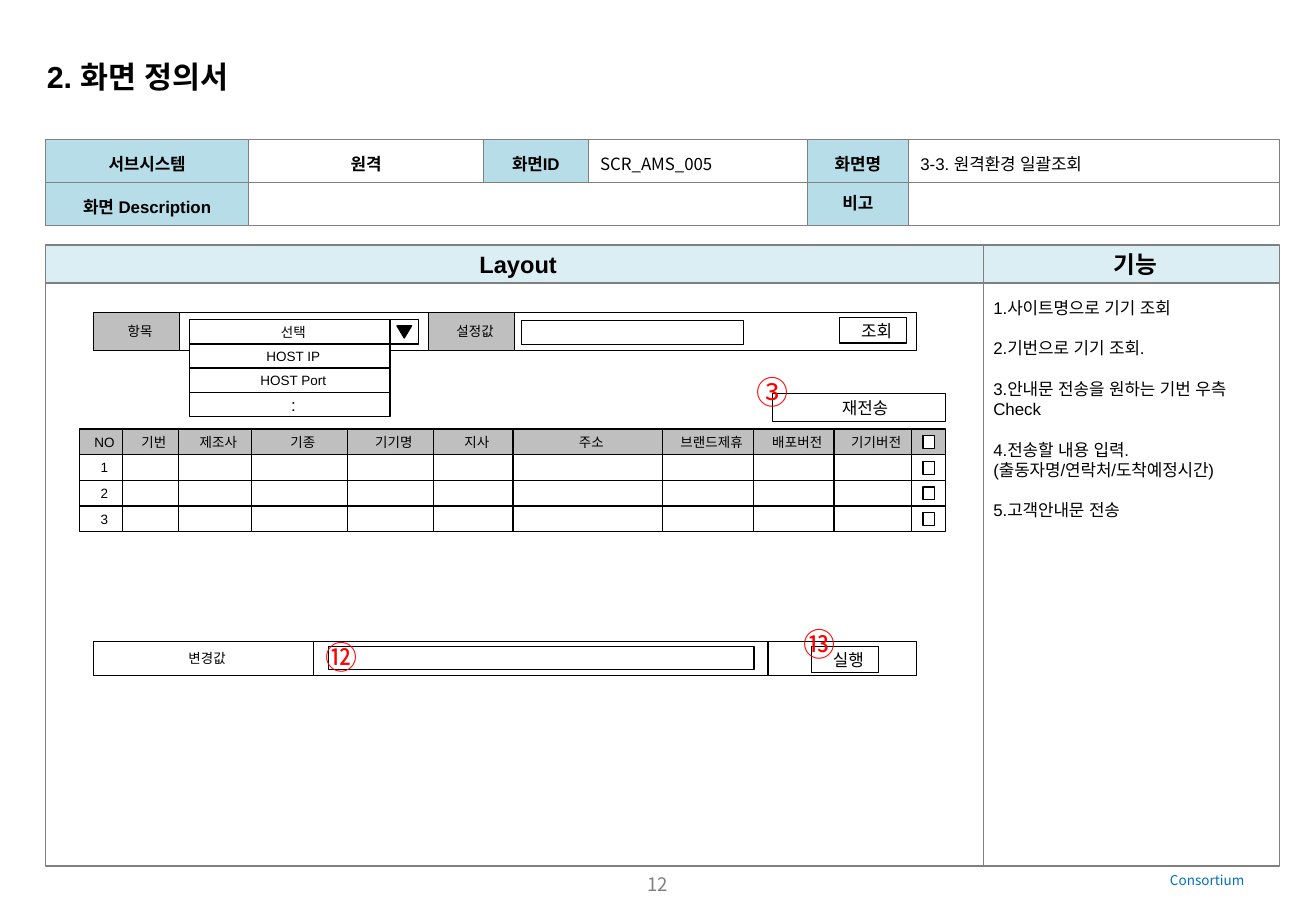
import pptx
import pptx.dml.color
import pptx.enum.shapes
import pptx.enum.text
import pptx.oxml
import pptx.oxml.ns
import pptx.util

RGBColor = pptx.dml.color.RGBColor
BLACK = RGBColor(0x00, 0x00, 0x00)
WHITE = RGBColor(0xFF, 0xFF, 0xFF)
GREY = RGBColor(0x80, 0x80, 0x80)
SILVER = RGBColor(0xBF, 0xBF, 0xBF)
RED = RGBColor(0xFF, 0x00, 0x00)
BLUE = RGBColor(0x00, 0x70, 0xC0)
SKY = RGBColor(0xB7, 0xDE, 0xE8)
PALE = RGBColor(0xDB, 0xEE, 0xF4)
LATIN, KOREAN = "Arial", "Noto Sans CJK KR"
ALIGN = pptx.enum.text.PP_ALIGN
ANCHOR = pptx.enum.text.MSO_ANCHOR
SHAPE = pptx.enum.shapes.MSO_SHAPE

GRID = pptx.util.Inches(0.01)
SLIDE_COLUMNS, SLIDE_ROWS = 1083, 750

INFO_COLUMNS = [167, 193.5, 86, 180.5, 83, 305.5]
INFO_ROWS = [
    ["서브시스템", "원격", "화면ID", "SCR_AMS_005", "화면명", "3-3. 원격환경 일괄조회"],
    ["화면 Description", "", "", "", "비고", ""],
]
PANELS = [("Layout", 37.5, 772), ("기능", 809.5, 243.5)]
PANEL_TOP, PANEL_HEAD, PANEL_BODY = 201.7, 31.3, 480
FUNCTIONS = [
    "1.사이트명으로 기기 조회",
    "2.기번으로 기기 조회.",
    "3.안내문 전송을 원하는 기번 우측 Check",
    "4.전송할 내용 입력.\v(출동자명/연락처/도착예정시간)",
    "5.고객안내문 전송",
]
DEVICE_LEFT, DEVICE_TOP, DEVICE_ROW = 65.3, 353.3, 21.1
DEVICE_COLUMNS = [("NO", 35.5), ("기번", 46), ("제조사", 60), ("기종", 79), ("기기명", 71),
                  ("지사", 65.5), ("주소", 123), ("브랜드제휴", 75), ("배포버전", 66),
                  ("기기버전", 64), ("", 27.7)]
DEVICE_NUMBERS = ["1", "2", "3"]
DROPDOWN = [("선택", 8), ("HOST IP", 8), ("HOST Port", 8), (":", 10)]
DROPDOWN_LEFT, DROPDOWN_TOP, DROPDOWN_WIDTH, DROPDOWN_ROW = 156, 263.3, 165, 19.9
CONTROLS = [
    ("", 77, 257, 677, 31.3, WHITE, 8),
    ("항목", 77, 257, 71, 31.3, SILVER, 8),
    ("설정값", 352.7, 257, 71, 31.3, SILVER, 8),
    ("", 429, 264, 183, 19.7, WHITE, 8),
    ("조회", 691, 261.4, 55, 21, WHITE, 10),
    (" 재전송", 636, 324, 142, 23, WHITE, 10),
    ("변경값", 77, 528, 181, 28, WHITE, 8),
    ("", 258, 528, 374, 28, WHITE, 8),
    ("", 632, 528, 122, 28, WHITE, 8),
    ("실행", 667.7, 532.5, 55, 21, WHITE, 10),
    ("", 270.5, 532, 350, 19, WHITE, 8),
]
MARKERS = [("③", 612.5, 302), ("⑬", 651.5, 509), ("⑫", 258, 520)]


def cells(*counts):
    return [round(count * GRID) for count in counts]


def write(frame, lines, size=10, font=LATIN, color=BLACK, bold=False, align=ALIGN.CENTER,
          anchor=ANCHOR.MIDDLE, margins=(10, 2, 4, 2), gap=0, spacing=None, wrap=True):
    frame.word_wrap = wrap
    frame.vertical_anchor = anchor
    frame.margin_left, frame.margin_top, frame.margin_right, frame.margin_bottom = cells(*margins)
    for index, line in enumerate(lines):
        para = frame.paragraphs[0] if index == 0 else frame.add_paragraph()
        para.text = line
        para.alignment = align
        para.line_spacing = spacing
        if index and gap:
            para.space_before = pptx.util.Pt(gap)
        for span in para.runs:
            span.font.size = pptx.util.Pt(size)
            span.font.name = font
            span.font.bold = bold
            span.font.color.rgb = color
            east = pptx.oxml.parse_xml(
                f'<a:ea {pptx.oxml.ns.nsdecls("a")} typeface="{font}"/>')
            span.font._element.find(pptx.oxml.ns.qn("a:latin")).addnext(east)


def add_box(page, place, fill=None, line=BLACK, kind=SHAPE.RECTANGLE, text="", **style):
    box = page.shapes.add_shape(kind, *cells(*place))
    box.shadow.inherit = False
    if fill is None:
        box.fill.background()
    else:
        box.fill.solid()
        box.fill.fore_color.rgb = fill
    box.line.color.rgb = line
    box.line.width = pptx.util.Pt(0.75)
    if text:
        write(box.text_frame, [text], **style)
    return box


def add_label(page, text, place, **style):
    box = page.shapes.add_textbox(*cells(*place))
    write(box.text_frame, [text], anchor=ANCHOR.TOP, margins=(10, 5, 10, 5), **style)


def fill_cell(cell, text, fill, margins, **style):
    properties = cell._tc.get_or_add_tcPr()
    for side in "LRTB":
        properties.append(pptx.oxml.parse_xml(
            f'<a:ln{side} {pptx.oxml.ns.nsdecls("a")} w="9525"><a:solidFill>'
            f'<a:srgbClr val="{GREY}"/></a:solidFill></a:ln{side}>'))
    cell.fill.solid()
    cell.fill.fore_color.rgb = fill
    write(cell.text_frame, [text], **style)
    cell.vertical_anchor = ANCHOR.MIDDLE
    cell.margin_left, cell.margin_top, cell.margin_right, cell.margin_bottom = cells(*margins)
    if not text:
        cell.text_frame.paragraphs[0]._p.append(pptx.oxml.parse_xml(
            f'<a:endParaRPr {pptx.oxml.ns.nsdecls("a")} sz="1000"/>'))


def add_info(page):
    heights = [35.4] * len(INFO_ROWS)
    table = page.shapes.add_table(len(heights), len(INFO_COLUMNS), *cells(
        37.5, 115, sum(INFO_COLUMNS), sum(heights))).table
    table.first_row = table.horz_banding = False
    for column, width in zip(table.columns, cells(*INFO_COLUMNS)):
        column.width = width
    for row, height in zip(table.rows, cells(*heights)):
        row.height = height
    for row, texts in enumerate(INFO_ROWS):
        for column, text in enumerate(texts):
            heading = column in (0, 4) or (row, column) == (0, 2)
            remark = (row, column) == (1, 4)
            level = remark or column == 3
            fill_cell(table.cell(row, column), text, SKY if heading else WHITE,
                      (10, 5, 10, 5) if level else (10, 6.5, 10, 3.5),
                      bold=heading or column == 1,
                      font=KOREAN if column == 3 else LATIN,
                      align=ALIGN.LEFT if column in (3, 5) else ALIGN.CENTER,
                      spacing=1.0 if remark else 1.2)
    table.cell(1, 1).merge(table.cell(1, 3))


def add_panels(page):
    for name, left, width in PANELS:
        body = add_box(page, (left, PANEL_TOP + PANEL_HEAD, width, PANEL_BODY), line=GREY)
        add_box(page, (left, PANEL_TOP, width, PANEL_HEAD), PALE, GREY,
                text=name, size=14, bold=True)
    write(body.text_frame, FUNCTIONS, align=ALIGN.LEFT, anchor=ANCHOR.TOP,
          margins=(8, 12, 8, 8), gap=12)


def add_devices(page):
    names = [name for name, width in DEVICE_COLUMNS]
    rows = [names] + [[number] + [""] * (len(names) - 1) for number in DEVICE_NUMBERS]
    for row, texts in enumerate(rows):
        left, top = DEVICE_LEFT, DEVICE_TOP + row * DEVICE_ROW
        for text, (name, width) in zip(texts, DEVICE_COLUMNS):
            add_box(page, (left, top, width, DEVICE_ROW), WHITE if row else SILVER,
                    text=text, size=8)
            left += width
        add_box(page, (759.5, top + 5.5, 9.5, 10.5), WHITE)


def add_dropdown(page):
    for index, (text, size) in enumerate(DROPDOWN):
        add_box(page, (DROPDOWN_LEFT, DROPDOWN_TOP + index * DROPDOWN_ROW,
                       DROPDOWN_WIDTH, DROPDOWN_ROW), WHITE, text=text, size=size)
    button = DROPDOWN_LEFT + DROPDOWN_WIDTH
    add_box(page, (button, DROPDOWN_TOP, 23.7, DROPDOWN_ROW), WHITE)
    add_box(page, (button + 5.7, DROPDOWN_TOP + 5, 12, 10), BLACK, kind=SHAPE.FLOWCHART_MERGE)


def main():
    deck = pptx.Presentation()
    deck.slide_width, deck.slide_height = cells(SLIDE_COLUMNS, SLIDE_ROWS)
    page = deck.slides.add_slide(deck.slide_layouts[5])
    title = page.shapes.title
    title.left, title.top, title.width, title.height = cells(28.5, 43, 214, 40)
    title.text_frame.auto_size = pptx.enum.text.MSO_AUTO_SIZE.NONE
    write(title.text_frame, ["2. 화면 정의서"], size=18, bold=True, align=ALIGN.LEFT,
          anchor=ANCHOR.TOP, margins=(10, 5, 10, 5), wrap=False)
    add_info(page)
    add_panels(page)
    for text, left, top, width, height, fill, size in CONTROLS:
        add_box(page, (left, top, width, height), fill, text=text, size=size)
    add_devices(page)
    add_dropdown(page)
    for text, left, top in MARKERS:
        add_label(page, text, (left, top, 47, 42), size=19, font=KOREAN, color=RED,
                  align=ALIGN.LEFT, wrap=False)
    add_label(page, "12", (396, 714, 291, 32), size=11, font=KOREAN, color=GREY)
    add_label(page, "Consortium", (953, 713, 102, 24), size=8, font=KOREAN, color=BLUE,
              align=ALIGN.LEFT)
    deck.save("out.pptx")


if __name__ == "__main__":
    main()
